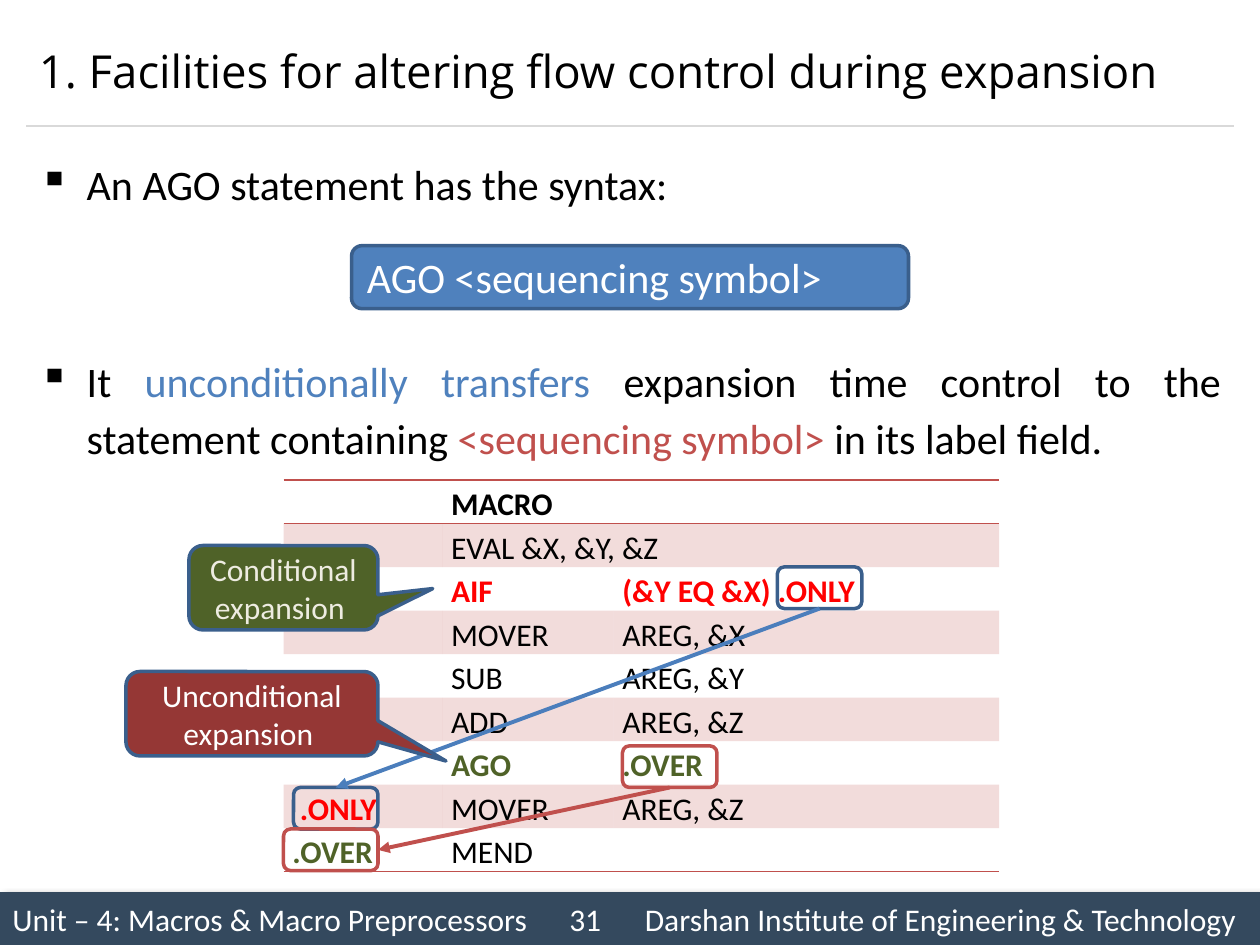
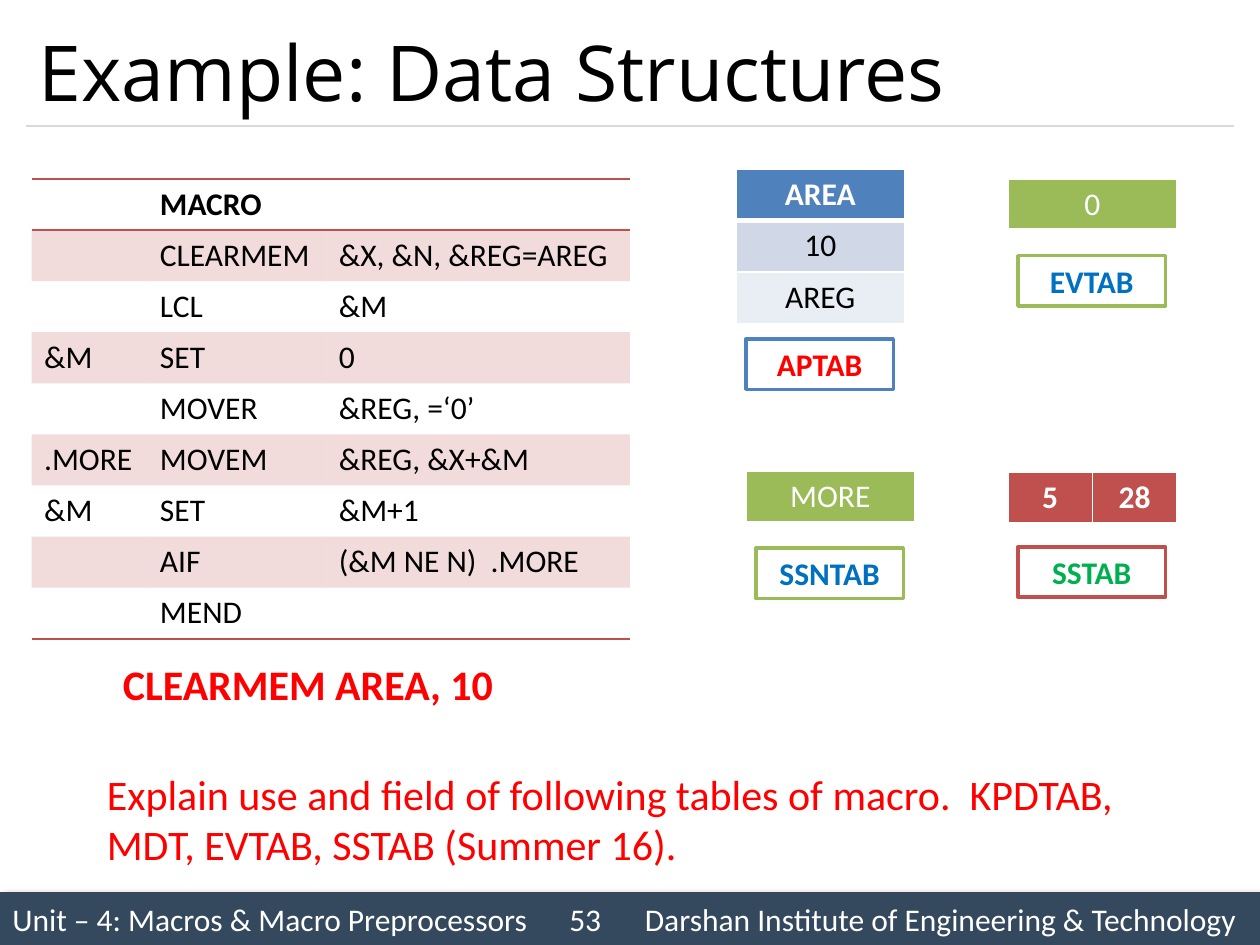
import dataclasses
import typing

import pptx
import pptx.dml.color
import pptx.enum.shapes
import pptx.enum.text
import pptx.oxml
import pptx.oxml.ns
import pptx.util

Inches = pptx.util.Inches
Pt = pptx.util.Pt
Align = pptx.enum.text.PP_ALIGN
Anchor = pptx.enum.text.MSO_ANCHOR
Geometry = pptx.enum.shapes.MSO_SHAPE
Box = tuple[float, float, float, float]

COLOURS = {
    "black": "000000", "white": "FFFFFF", "cream": "EEECE1", "footer": "34495E",
    "rule": "D9D9D9", "blue": "4F81BD", "dark blue": "3A5F8C", "arrow blue": "4B7EBC",
    "brick": "C0504D", "dark brick": "953735", "lime": "9BBB59", "olive": "4F6228",
    "red": "FF0000", "sky": "0070C0", "green": "00B050",
    "band dark": "D0D8E8", "band light": "E9EDF4",
}
BODY_FONT = "Calibri"
TITLE_FONT = "Open Sans"
NO_STYLE_TABLE = "{2D5ABB26-0587-4C30-8999-92F81FD0307C}"
UNIT = "Unit – 4: Macros & Macro Preprocessors"
INSTITUTE = "Darshan Institute of Engineering & Technology"


class MacroLine(typing.NamedTuple):
    label: str
    opcode: str
    operands: str = ""
    colour: str = "black"
    label_colour: str = "black"
    label_indent: float = 0


@dataclasses.dataclass
class MacroListing:
    box: Box
    widths: list[float]
    lines: list[MacroLine]
    side_margin: float = 0.1
    top_margin: float = 0.05
    line_spacing: float = 1
    alignment: Align = Align.LEFT
    wide_rows: int = 0


@dataclasses.dataclass
class DataStructure:
    name: str
    left: float
    top: float
    label_top: float
    rows: list[list[str]]
    colour: str
    name_colour: str
    bold_header: bool = False


@dataclasses.dataclass
class Callout:
    text: str
    box: Box
    fill: str
    text_colour: str
    pointer: tuple[float, float]


def rgb(name: str):
    return pptx.dml.color.RGBColor.from_string(COLOURS[name])


def add_xml(parent, markup: str) -> None:
    """Append a drawing element given without its namespace declaration."""
    tag_end = min(i for i in (markup.find(" "), markup.find("/"), markup.find(">")) if i > 0)
    declared = f"{markup[:tag_end]} {pptx.oxml.ns.nsdecls('a')}{markup[tag_end:]}"
    parent.append(pptx.oxml.parse_xml(declared))


def style(paragraph, size: float, colour: str, bold: bool = False,
          alignment: Align = Align.LEFT, font: str = BODY_FONT) -> None:
    paragraph.alignment = alignment
    paragraph.font.name = font
    paragraph.font.size = Pt(size)
    paragraph.font.bold = bold
    paragraph.font.color.rgb = rgb(colour)


def add_text(slide, box: Box, text: str, size: float, colour: str, bold: bool = False,
             alignment: Align = Align.LEFT, font: str = BODY_FONT, anchor: Anchor = Anchor.TOP):
    frame = slide.shapes.add_textbox(*map(Inches, box)).text_frame
    frame.word_wrap = True
    frame.vertical_anchor = anchor
    frame.text = text
    style(frame.paragraphs[0], size, colour, bold, alignment, font)


def add_box(slide, geometry: Geometry, box: Box, fill: str | None = None, line: str | None = None):
    shape = slide.shapes.add_shape(geometry, *map(Inches, box))
    shape.shadow.inherit = False
    if fill:
        shape.fill.solid()
        shape.fill.fore_color.rgb = rgb(fill)
    else:
        shape.fill.background()
    if line:
        shape.line.color.rgb = rgb(line)
        shape.line.width = Pt(2)
    else:
        shape.line.fill.background()
    shape.text_frame.word_wrap = True
    return shape


def label_box(shape, text: str, size: float, colour: str, bold: bool = False,
              alignment: Align = Align.CENTER) -> None:
    shape.text_frame.text = text
    style(shape.text_frame.paragraphs[0], size, colour, bold, alignment)


def add_line(slide, start: tuple[float, float], end: tuple[float, float], colour: str, width: float):
    line = slide.shapes.add_connector(pptx.enum.shapes.MSO_CONNECTOR.STRAIGHT,
                                      *map(Inches, start + end))
    line.line.color.rgb = rgb(colour)
    line.line.width = Pt(width)
    add_xml(line.element.spPr, "<a:effectLst/>")
    return line


def add_arrow(slide, source, target, target_side: int, colour: str) -> None:
    """Run an arrow from the bottom of one box to a side of another."""
    arrow = add_line(slide, (0, 0), (1, 1), colour, 2.25)
    arrow.begin_connect(source, 2)
    arrow.end_connect(target, target_side)
    add_xml(arrow.line._get_or_add_ln(), '<a:tailEnd type="triangle"/>')


def add_base_slide(presentation, title: str, title_size: float, number: int):
    slide = presentation.slides.add_slide(presentation.slide_layouts[6])
    footer = add_box(slide, Geometry.RECTANGLE, (0, 7.08, 10, 0.42), "footer")
    effects = footer.element.spPr.find(pptx.oxml.ns.qn("a:effectLst"))
    add_xml(effects, '<a:outerShdw blurRad="50800" dist="38100" dir="2700000">'
                     '<a:srgbClr val="000000"><a:alpha val="40000"/></a:srgbClr></a:outerShdw>')
    paragraph = footer.text_frame.paragraphs[0]
    paragraph.text = f"{UNIT}\t{number}\t{INSTITUTE}"
    stops = "".join(f'<a:tab pos="{Inches(stop)}" algn="l"/>' for stop in (4.42, 5.02))
    add_xml(paragraph._p.get_or_add_pPr(), f"<a:tabLst>{stops}</a:tabLst>")
    style(paragraph, 18, "white")
    add_line(slide, (0.21, 1), (9.79, 1), "rule", 0.75)
    add_text(slide, (0.21, 0.12, 9.58, 0.88), title, title_size, "black",
             font=TITLE_FONT, anchor=Anchor.MIDDLE)
    return slide


def add_bullets(slide, box: Box, bullets: list[list[tuple[str, str]]], gap: float) -> None:
    frame = slide.shapes.add_textbox(*map(Inches, box)).text_frame
    frame.word_wrap = True
    for index, pieces in enumerate(bullets):
        paragraph = frame.add_paragraph() if index else frame.paragraphs[0]
        properties = paragraph._p.get_or_add_pPr()
        properties.set("marL", str(Inches(0.38)))
        properties.set("indent", str(Inches(-0.38)))
        add_xml(properties, '<a:buChar char="▪"/>')
        style(paragraph, 24, "black", alignment=Align.JUSTIFY)
        paragraph.line_spacing = 1.14
        if index:
            paragraph.space_before = Pt(gap)
        for text, colour in pieces:
            run = paragraph.add_run()
            run.text = text
            run.font.color.rgb = rgb(colour)


def add_plain_table(slide, box: Box, widths: list[float], row_count: int):
    frame = slide.shapes.add_table(row_count, len(widths), *map(Inches, box))
    table = frame.table
    table.first_row = table.horz_banding = False
    next(frame.element.iter(pptx.oxml.ns.qn("a:tableStyleId"))).text = NO_STYLE_TABLE
    for column, width in zip(table.columns, widths):
        column.width = Inches(width)
    return table


def paint_cell(cell, borders: dict[str, float], border_colour: str,
               fill: str | None, opacity: int = 100) -> None:
    """Give a cell its borders (side letter to points) and its fill."""
    properties = cell._tc.get_or_add_tcPr()
    for side in "LRTB":
        if side in borders:
            add_xml(properties, f'<a:ln{side} w="{Pt(borders[side])}"><a:solidFill>'
                                f'<a:srgbClr val="{COLOURS[border_colour]}"/></a:solidFill></a:ln{side}>')
    if not fill:
        cell.fill.background()
        return
    cell.fill.solid()
    cell.fill.fore_color.rgb = rgb(fill)
    if opacity < 100:
        colour = properties.find(pptx.oxml.ns.qn("a:solidFill"))[0]
        add_xml(colour, f'<a:alpha val="{opacity * 1000}"/>')


def add_macro_listing(slide, listing: MacroListing) -> None:
    last = len(listing.lines) - 1
    table = add_plain_table(slide, listing.box, listing.widths, last + 1)
    for row, line in enumerate(listing.lines):
        borders = {0: {"T": 1, "B": 1}, last: {"B": 1}}.get(row, {})
        for column, text in enumerate(line[:3]):
            cell = table.cell(row, column)
            indent = 0 if column else line.label_indent
            cell.margin_left = Inches(listing.side_margin + indent)
            cell.margin_right = Inches(listing.side_margin)
            cell.margin_top = cell.margin_bottom = Inches(listing.top_margin)
            paint_cell(cell, borders, "brick", "brick" if row % 2 else None, 20)
            cell.text = text
            colour = line.colour if column else line.label_colour
            paragraph = cell.text_frame.paragraphs[0]
            style(paragraph, 18, colour, row == 0 or colour != "black", listing.alignment)
            paragraph.line_spacing = listing.line_spacing
        if row < listing.wide_rows:
            table.cell(row, 1).merge(table.cell(row, 2))


def add_data_structure(slide, structure: DataStructure) -> None:
    columns = len(structure.rows[0])
    table = add_plain_table(slide, (structure.left, structure.top, 1.34, 0.41 * len(structure.rows)),
                            [1.34 / columns] * columns, len(structure.rows))
    fills = [structure.colour, "band dark", "band light"]
    for row, texts in enumerate(structure.rows):
        borders = {"L": 1, "R": 1, "T": 3 if row == 1 else 1, "B": 1 if row else 3}
        for column, text in enumerate(texts):
            cell = table.cell(row, column)
            paint_cell(cell, borders, "white", fills[row])
            cell.text = text
            style(cell.text_frame.paragraphs[0], 18, "black" if row else "white",
                  structure.bold_header and row == 0, Align.CENTER)
    label = add_box(slide, Geometry.RECTANGLE, (structure.left + 0.08, structure.label_top, 1.17, 0.4),
                    "white", structure.colour)
    label_box(label, structure.name, 18, structure.name_colour, True)


def add_callout(slide, callout: Callout) -> None:
    shape = add_box(slide, Geometry.ROUNDED_RECTANGULAR_CALLOUT, callout.box, callout.fill, "dark blue")
    shape.adjustments[0], shape.adjustments[1] = callout.pointer
    label_box(shape, callout.text, 18, callout.text_colour)


def build_flow_control(presentation) -> None:
    slide = add_base_slide(presentation, "1. Facilities for altering flow control during expansion", 26, 31)
    add_bullets(slide, (0.21, 1.15, 9.58, 5.76), [
        [("An AGO statement has the syntax: ", "black")],
        [("It ", "black"), ("unconditionally transfers ", "blue"),
         ("expansion time control to the statement containing ", "black"),
         ("<sequencing symbol> ", "brick"), ("in its label field. ", "black")],
    ], gap=80)
    syntax = add_box(slide, Geometry.ROUNDED_RECTANGLE, (2.79, 1.95, 4.42, 0.5), "blue", "dark blue")
    label_box(syntax, "AGO <sequencing symbol>", 24, "white", alignment=Align.LEFT)
    add_macro_listing(slide, MacroListing((2.25, 3.81, 5.68, 3.1), [1.26, 1.36, 3.06], [
        MacroLine("", "MACRO"),
        MacroLine("", "EVAL &X, &Y, &Z"),
        MacroLine("", "AIF", "(&Y EQ &X) .ONLY", "red"),
        MacroLine("", "MOVER", "AREG, &X"),
        MacroLine("", "SUB", "AREG, &Y"),
        MacroLine("", "ADD", "AREG, &Z"),
        MacroLine("", "AGO", ".OVER", "olive"),
        MacroLine(".ONLY", "MOVER", "AREG, &Z", label_colour="red", label_indent=0.06),
        MacroLine(".OVER", "MEND", label_colour="olive"),
    ], side_margin=0.07, top_margin=0, line_spacing=1.15, alignment=Align.JUSTIFY, wide_rows=2))

    only_jump, only_label, over_jump, over_label = (
        add_box(slide, Geometry.ROUNDED_RECTANGLE, (left, top, width, 0.33), line=line)
        for left, top, width, line in [
            (6.17, 4.5, 0.67, "dark blue"), (2.33, 6.25, 0.67, "dark blue"),
            (4.94, 5.92, 0.75, "brick"), (2.25, 6.58, 0.75, "brick")])
    add_arrow(slide, only_jump, only_label, 0, "arrow blue")
    add_arrow(slide, over_jump, over_label, 3, "brick")
    for callout in (
        Callout("Conditional expansion ", (1.5, 4.33, 1.5, 0.67), "olive", "cream", (0.79, 0.01)),
        Callout("Unconditional expansion ", (1, 5.33, 2, 0.67), "dark brick", "white", (0.77, 0.56)),
    ):
        add_callout(slide, callout)


def build_data_structures(presentation) -> None:
    slide = add_base_slide(presentation, "Example: Data Structures", 44, 53)
    add_macro_listing(slide, MacroListing((0.25, 1.42, 4.75, 3.65), [0.92, 1.42, 2.41], [
        MacroLine("", "MACRO"),
        MacroLine("", "CLEARMEM", "&X, &N, &REG=AREG"),
        MacroLine("", "LCL", "&M"),
        MacroLine("&M", "SET", "0"),
        MacroLine("", "MOVER", "&REG, =‘0’"),
        MacroLine(".MORE", "MOVEM", "&REG, &X+&M"),
        MacroLine("&M", "SET", "&M+1"),
        MacroLine("", "AIF", "(&M NE N)  .MORE"),
        MacroLine("", "MEND"),
    ]))
    for structure in (
        DataStructure("APTAB", 5.84, 1.34, 2.69, [["AREA"], ["10"], ["AREG"]], "blue", "red", True),
        DataStructure("EVTAB", 8, 1.42, 2.03, [["0"]], "lime", "sky"),
        DataStructure("SSTAB", 8, 3.75, 4.34, [["5", "28"]], "brick", "green", True),
        DataStructure("SSNTAB", 5.92, 3.74, 4.35, [["MORE"]], "lime", "sky"),
    ):
        add_data_structure(slide, structure)
    add_text(slide, (0.67, 5.18, 3.55, 0.5), "CLEARMEM AREA, 10", 24, "red", True, Align.CENTER)
    add_text(slide, (0.75, 6.05, 8.5, 0.91),
             "Explain use and field of following tables of macro.  KPDTAB, MDT, EVTAB, SSTAB (Summer 16).",
             24, "red")


def main() -> None:
    presentation = pptx.Presentation()
    presentation.slide_width, presentation.slide_height = Inches(10), Inches(7.5)
    build_flow_control(presentation)
    build_data_structures(presentation)
    presentation.save("out.pptx")


if __name__ == "__main__":
    main()
